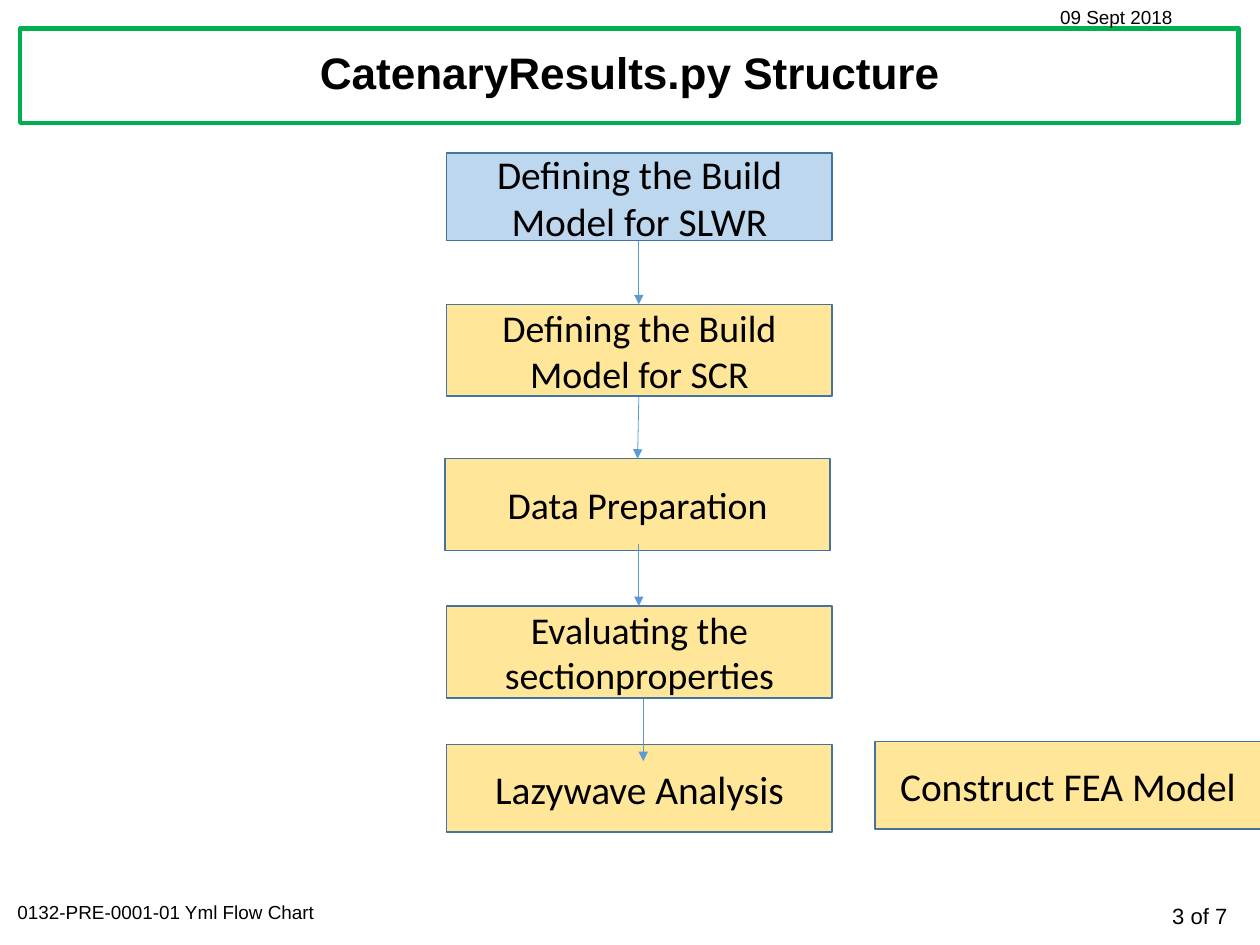
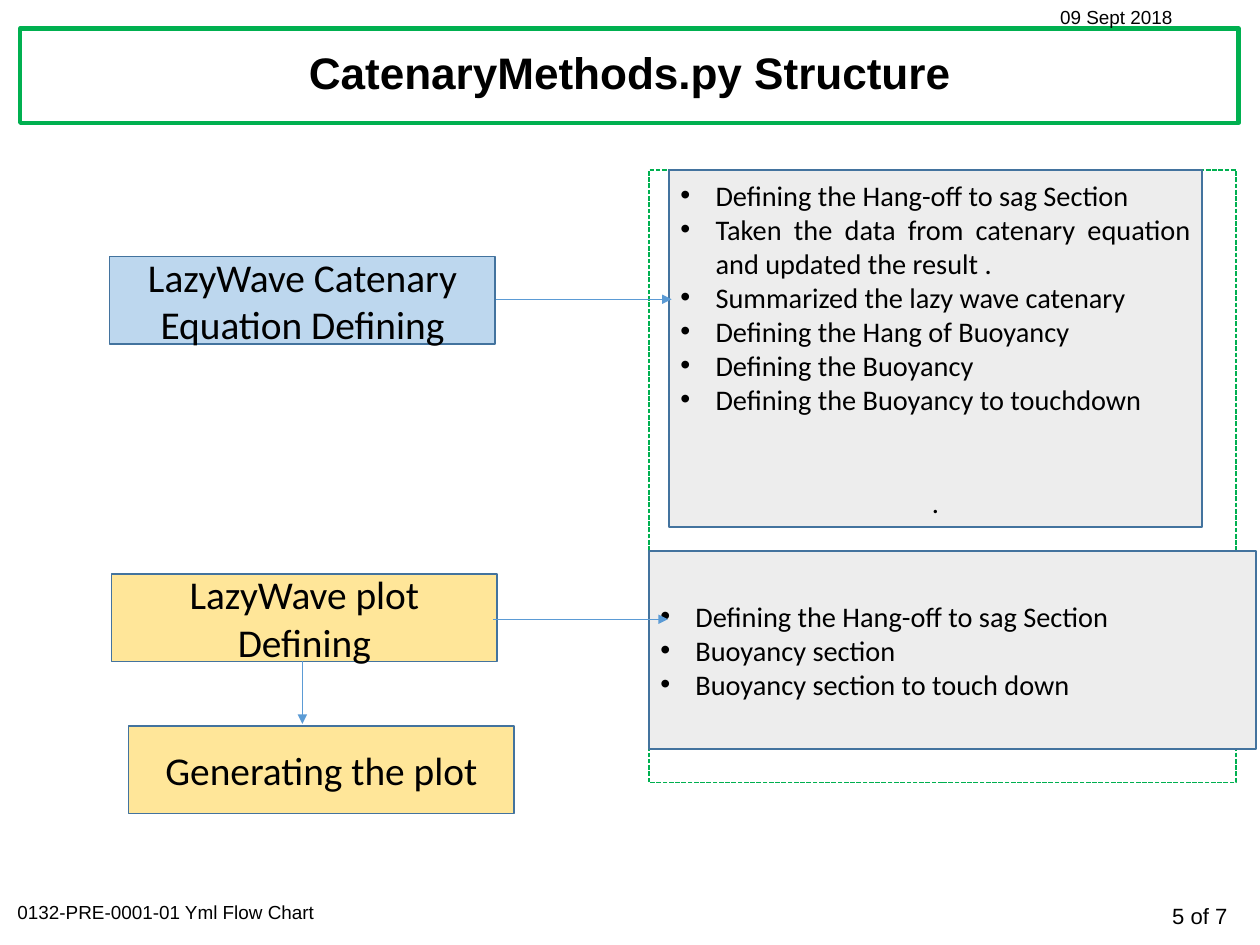
from lxml.etree import SubElement
from pptx import Presentation
from pptx.dml.color import RGBColor
from pptx.enum.dml import MSO_LINE
from pptx.enum.shapes import MSO_CONNECTOR, MSO_SHAPE
from pptx.enum.text import MSO_ANCHOR, MSO_AUTO_SIZE, PP_ALIGN
from pptx.oxml.ns import qn
from pptx.util import Inches, Pt

BLACK, WHITE, GREEN = "000000", "FFFFFF", "00B050"
START, STEP, DETAIL = "BDD7EE", "FFE699", "EDEDED"
OUTLINE, ARROW = "43739E", "5B9BD5"
TITLE_ONLY, TWO_CONTENT = 5, 3
COLUMNS, ROWS = 100, 75
STEP_WIDTH, LOW, HIGH = 30.6, 6.95, 7.3
HANGING = Inches(0.31)
MIDDLE = {"word_wrap": True, "auto_size": MSO_AUTO_SIZE.NONE,
          "vertical_anchor": MSO_ANCHOR.MIDDLE}


def set_format(target, values):
    for name, value in values.items():
        setattr(target, name, value)


def paint(fill, hex_color):
    fill.solid()
    fill.fore_color.rgb = RGBColor.from_string(hex_color)


class FlowDeck:
    """Holds the presentation, its style and the slide being filled."""

    def __init__(self):
        self.prs = Presentation()
        self.prs.slide_width, self.prs.slide_height = Inches(11.11), Inches(8.33)
        self.slide = None

    def x(self, columns):
        return round(self.prs.slide_width * columns / COLUMNS)

    def y(self, rows):
        return round(self.prs.slide_height * rows / ROWS)

    def box(self, left, top, width, height):
        return self.x(left), self.y(top), self.x(width), self.y(height)

    def place(self, shape, *area):
        set_format(shape, dict(zip(("left", "top", "width", "height"), self.box(*area))))

    def outline(self, shape, color, width, fill=None):
        if fill:
            paint(shape.fill, fill)
        else:
            shape.fill.background()
        paint(shape.line.fill, color)
        shape.line.width = Pt(width)

    def add_text(self, paragraph, text, size, font="Calibri", align=PP_ALIGN.CENTER,
                 bold=False, before=0, spacing=1.0):
        set_format(paragraph, {"alignment": align, "space_before": Pt(before),
                               "space_after": Pt(0), "line_spacing": spacing})
        run = paragraph.add_run()
        run.text = text
        set_format(run.font, {"name": font, "size": Pt(size), "bold": bold})
        paint(run.font.fill, BLACK)

    def new_slide(self, layout, title, page):
        self.slide = self.prs.slides.add_slide(self.prs.slide_layouts[layout])
        heading = self.slide.shapes.title
        self.place(heading, 1.6, 2.25, 96.7, 7.5)
        self.outline(heading, GREEN, 2.75, WHITE)
        set_format(heading.text_frame, MIDDLE)
        self.add_text(heading.text_frame.paragraphs[0], title, 28, "Arial",
                      bold=True, spacing=0.9)
        self.label(f"{page} of 7", 14, 84.6, 71.2, 13.7, 3.1, PP_ALIGN.RIGHT)
        self.label("0132-PRE-0001-01 Yml Flow Chart", 12, 0.5, 71, 35.9, 2.7)
        self.label("09 Sept 2018", 12, 83.25, 0, 15.1, 2.7)

    def label(self, text, size, left, top, width, height, align=PP_ALIGN.LEFT):
        frame = self.slide.shapes.add_textbox(*self.box(left, top, width, height)).text_frame
        frame.word_wrap = True
        self.add_text(frame.paragraphs[0], text, size, "Arial", align)

    def step(self, text, left, top, height=LOW, size=25, fill=STEP):
        shape = self.slide.shapes.add_shape(
            MSO_SHAPE.RECTANGLE, *self.box(left, top, STEP_WIDTH, height))
        shape.shadow.inherit = False
        self.outline(shape, OUTLINE, 1, fill)
        set_format(shape.text_frame, MIDDLE)
        self.add_text(shape.text_frame.paragraphs[0], text, size)

    def arrow(self, x1, y1, x2, y2):
        line = self.slide.shapes.add_connector(
            MSO_CONNECTOR.STRAIGHT, self.x(x1), self.y(y1), self.x(x2), self.y(y2))
        paint(line.line.fill, ARROW)
        line.line.width = Pt(0.5)
        properties = line._element.spPr
        SubElement(properties.find(qn("a:ln")), qn("a:tailEnd"), type="triangle")
        SubElement(properties, qn("a:effectLst"))

    def dashed_frame(self, *area):
        """Draw the group outline behind everything else on the slide."""
        shape = self.slide.shapes.add_shape(MSO_SHAPE.RECTANGLE, *self.box(*area))
        shape.shadow.inherit = False
        self.outline(shape, GREEN, 1)
        shape.line.dash_style = MSO_LINE.SQUARE_DOT
        self.slide.shapes._spTree.insert(2, shape._element)

    def details(self, index, items, *area, closing=None):
        """Fill a body placeholder with bullets and an optional centred last line."""
        body = self.slide.placeholders[index]
        self.place(body, *area)
        self.outline(body, OUTLINE, 1, DETAIL)
        frame = body.text_frame
        set_format(frame, MIDDLE)
        for number, item in enumerate(items):
            paragraph = frame.add_paragraph() if number else frame.paragraphs[0]
            self.bullet(paragraph, "•", HANGING)
            self.add_text(paragraph, item, 18, align=PP_ALIGN.JUSTIFY)
        if closing:
            paragraph = frame.add_paragraph()
            self.bullet(paragraph, None, 0)
            self.add_text(paragraph, closing, 18, before=44)

    def bullet(self, paragraph, char, indent):
        properties = paragraph._p.get_or_add_pPr()
        properties.set("marL", str(indent))
        properties.set("indent", str(-indent))
        if char:
            SubElement(properties, qn("a:buFont"), typeface="Arial")
            SubElement(properties, qn("a:buChar"), char=char)
        else:
            SubElement(properties, qn("a:buNone"))


def results_slide(deck):
    deck.new_slide(TITLE_ONLY, "CatenaryResults.py Structure", 3)
    column = 35.45
    deck.step("Defining the Build Model for SLWR", column, 12.15, fill=START)
    deck.step("Defining the Build Model for SCR", column, 24.15, HIGH, 24)
    deck.step("Data Preparation", 35.3, 36.4, HIGH, 24)
    deck.step("Evaluating the sectionproperties", column, 48.1, HIGH, 24)
    deck.step("Lazywave Analysis", column, 59.1)
    deck.step("Construct FEA Model", 69.45, 58.85)
    for ends in ((50.7, 19.1, 50.7, 24.15), (50.7, 31.5, 50.6, 36.4),
                 (50.7, 43.2, 50.7, 48.1), (51.05, 55.45, 51.05, 60.4)):
        deck.arrow(*ends)


def methods_slide(deck):
    deck.new_slide(TWO_CONTENT, "CatenaryMethods.py Structure", 5)
    deck.dashed_frame(51.5, 13.5, 46.6, 48.6)
    deck.details(1, ("Defining the Hang-off to sag Section",
                     "Taken the data from catenary equation and updated the result .",
                     "Summarized the lazy wave catenary",
                     "Defining the Hang of Buoyancy",
                     "Defining the Buoyancy",
                     "Defining the Buoyancy to touchdown"),
                 53.1, 13.5, 42.3, 28.35, closing=".")
    deck.details(2, ("Defining the Hang-off to sag Section",
                     "Buoyancy section",
                     "Buoyancy section to touch down"),
                 51.5, 43.75, 48.2, 15.7)
    deck.step("LazyWave Catenary Equation Defining", 8.7, 20.35, fill=START)
    deck.step("LazyWave plot Defining", 8.85, 45.55)
    deck.step("Generating the plot", 10.2, 57.6)
    for ends in ((39.4, 23.75, 53.3, 23.75), (39.15, 49.15, 53, 49.15),
                 (24, 52.5, 24, 57.45)):
        deck.arrow(*ends)


def main():
    deck = FlowDeck()
    results_slide(deck)
    methods_slide(deck)
    deck.prs.save("out.pptx")


if __name__ == "__main__":
    main()
